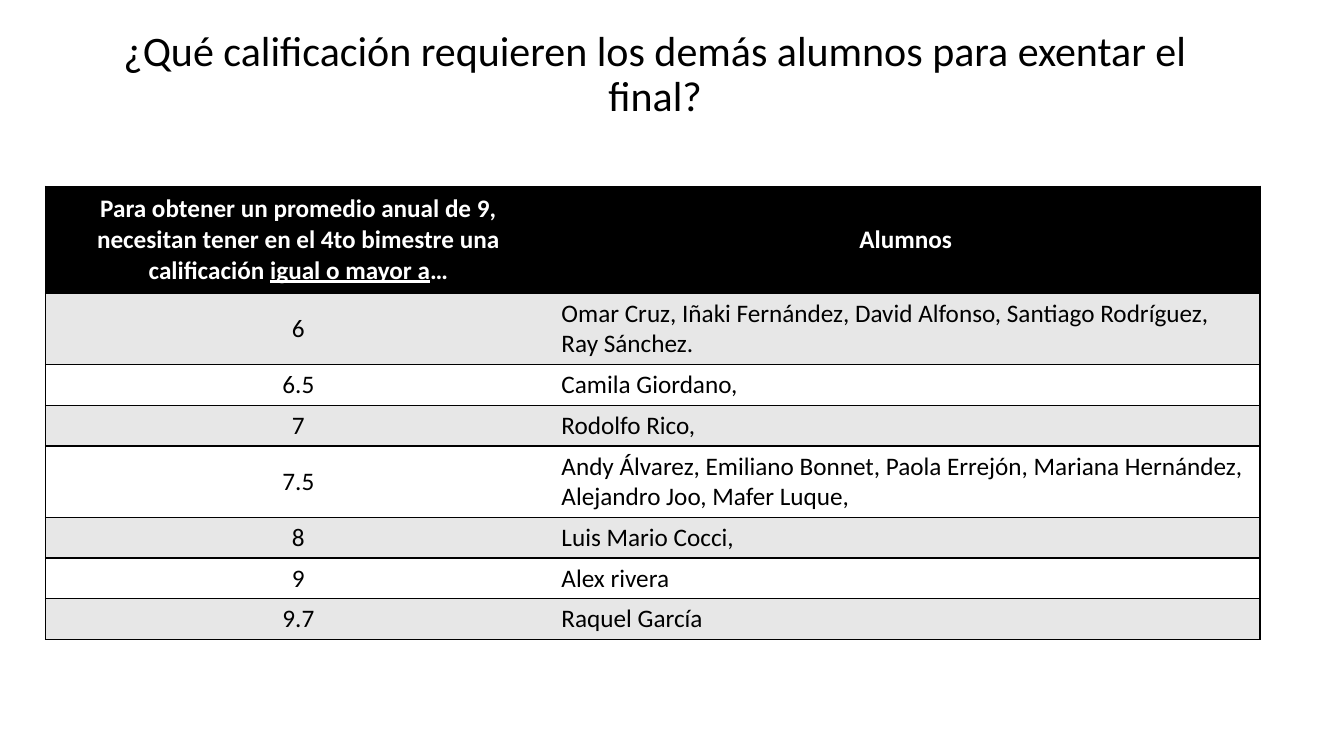
from dataclasses import dataclass

from lxml import etree
from pptx import Presentation
from pptx.dml.color import RGBColor
from pptx.enum import text
from pptx.oxml import ns
from pptx.util import Pt


@dataclass(frozen=True)
class Theme:
    """Colours, font and sizes of the slide."""
    font: str = "Calibri"
    title_size: float = 30
    table_size: float = 18
    ink: str = "000000"
    paper: str = "FFFFFF"
    band: str = "E7E7E7"
    border_width: float = 1


@dataclass(frozen=True)
class GradeRow:
    """A required grade, the students who need it and their line count."""
    grade: str
    students: str
    lines: int = 1


THEME = Theme()
NO_STYLE = "{2D5ABB26-0587-4C30-8999-92F81FD0307C}"
COLUMN_WIDTHS = (361.5, 506.2)
HEADER_HEIGHT = 76.4
ROW_HEIGHTS = {1: 29.2, 2: 50.8}
TITLE = "¿Qué calificación requieren los demás alumnos para exentar el final?"
GRADE_HEADING = (
    ("Para obtener un promedio anual de 9, necesitan tener "
     "en el 4to bimestre una calificación ", False),
    ("igual o mayor a", True),
    ("…", False),
)
ROWS = (
    GradeRow("6", "Omar Cruz, Iñaki Fernández, David Alfonso, "
             "Santiago Rodríguez, Ray Sánchez.", 2),
    GradeRow("6.5", "Camila Giordano,"),
    GradeRow("7", "Rodolfo Rico,"),
    GradeRow("7.5", "Andy Álvarez, Emiliano Bonnet, Paola Errejón, "
             "Mariana Hernández, Alejandro Joo, Mafer Luque,", 2),
    GradeRow("8", "Luis Mario Cocci,"),
    GradeRow("9", "Alex rivera"),
    GradeRow("9.7", "Raquel García"),
)


def add_span(para, words: str, *, size: float = THEME.table_size,
             color: str = THEME.ink, bold: bool = False,
             underline: bool = False) -> None:
    """Append formatted text to a paragraph."""
    span = para.add_run()
    span.text = words
    span.font.name = THEME.font
    span.font.size = Pt(size)
    span.font.bold = bold
    span.font.underline = underline
    span.font.color.rgb = RGBColor.from_string(color)


def add_border(cell, side: str) -> None:
    """Draw one border of a table cell."""
    properties = cell._tc.get_or_add_tcPr()
    line = etree.SubElement(properties, ns.qn(f"a:ln{side}"),
                            w=str(Pt(THEME.border_width)))
    fill = etree.SubElement(line, ns.qn("a:solidFill"))
    etree.SubElement(fill, ns.qn("a:srgbClr"), val=THEME.ink)


def prepare_cell(cell, fill: str, outer_side: str, *,
                 centered: bool = True, middle: bool = True):
    """Set borders, fill and alignment, and return the first paragraph."""
    for side in (outer_side, "T", "B"):
        add_border(cell, side)
    cell.fill.solid()
    cell.fill.fore_color.rgb = RGBColor.from_string(fill)
    if middle:
        cell.vertical_anchor = text.MSO_ANCHOR.MIDDLE
    para = cell.text_frame.paragraphs[0]
    para.alignment = text.PP_ALIGN.CENTER if centered else text.PP_ALIGN.LEFT
    return para


def add_title(page) -> None:
    """Place the centred question above the table."""
    box = page.shapes.add_textbox(Pt(54), Pt(1.5), Pt(828), Pt(104.4))
    frame = box.text_frame
    frame.word_wrap = True
    frame.vertical_anchor = text.MSO_ANCHOR.MIDDLE
    para = frame.paragraphs[0]
    para.alignment = text.PP_ALIGN.CENTER
    para.line_spacing = 0.9
    add_span(para, TITLE, size=THEME.title_size)


def add_grade_table(page) -> None:
    """Build the table of required grades and students."""
    heights = [HEADER_HEIGHT] + [ROW_HEIGHTS[row.lines] for row in ROWS]
    table = page.shapes.add_table(
        len(heights), len(COLUMN_WIDTHS), Pt(32.4), Pt(133),
        Pt(sum(COLUMN_WIDTHS)), Pt(sum(heights))).table
    table._tbl.tblPr.find(ns.qn("a:tableStyleId")).text = NO_STYLE
    for column, width in zip(table.columns, COLUMN_WIDTHS):
        column.width = Pt(width)
    for table_row, height in zip(table.rows, heights):
        table_row.height = Pt(height)

    para = prepare_cell(table.cell(0, 0), THEME.ink, "L")
    for words, underline in GRADE_HEADING:
        add_span(para, words, color=THEME.paper, bold=True,
                 underline=underline)
    para = prepare_cell(table.cell(0, 1), THEME.ink, "R")
    add_span(para, "Alumnos", color=THEME.paper, bold=True)

    for index, row in enumerate(ROWS, start=1):
        fill = THEME.band if index % 2 else THEME.paper
        add_span(prepare_cell(table.cell(index, 0), fill, "L"), row.grade)
        add_span(prepare_cell(table.cell(index, 1), fill, "R",
                              centered=False, middle=False), row.students)


def main() -> None:
    """Create and save the deck."""
    deck = Presentation()
    deck.slide_width, deck.slide_height = Pt(960), Pt(540)
    page = deck.slides.add_slide(deck.slide_layouts[6])
    add_title(page)
    add_grade_table(page)
    deck.save("out.pptx")


if __name__ == "__main__":
    main()
